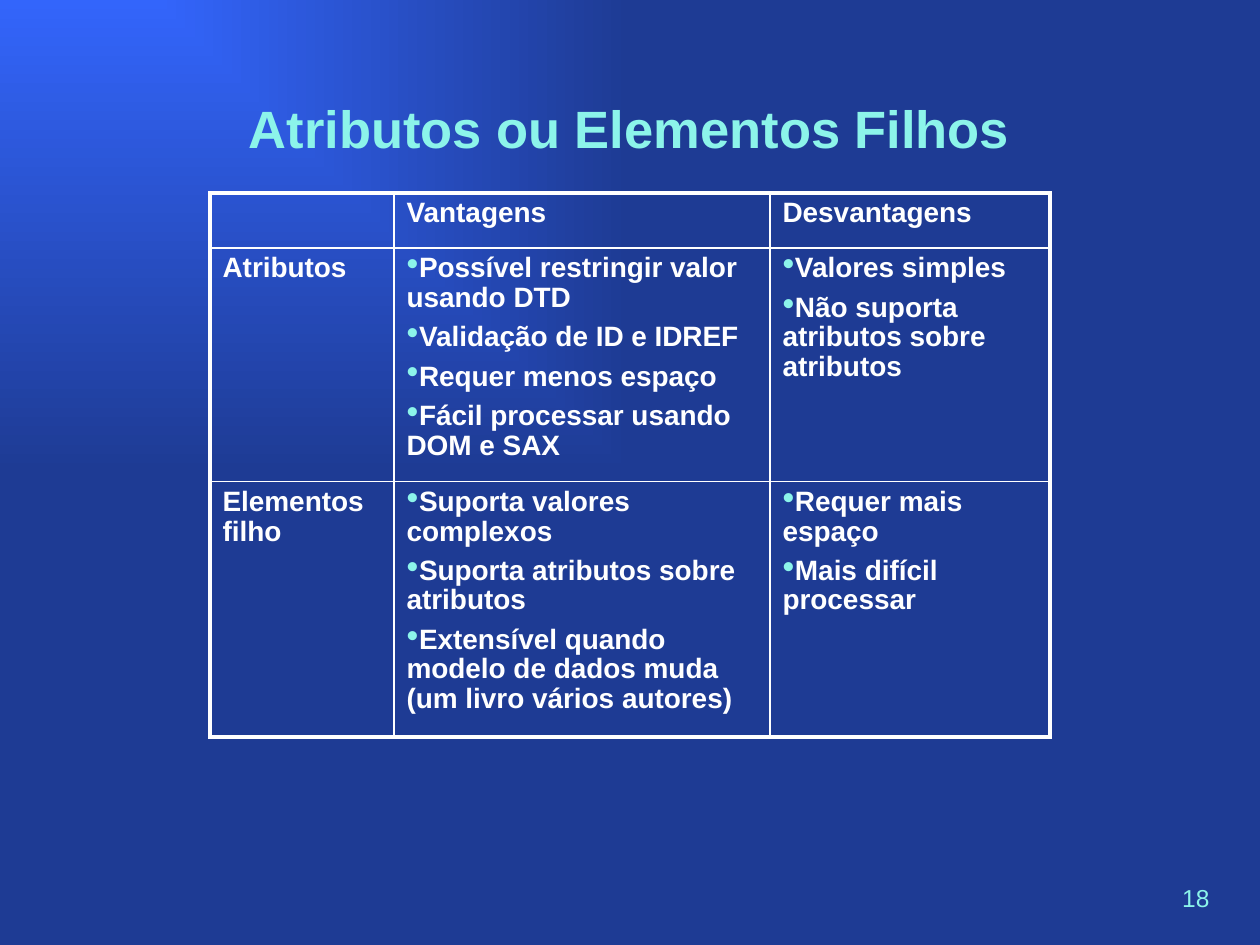
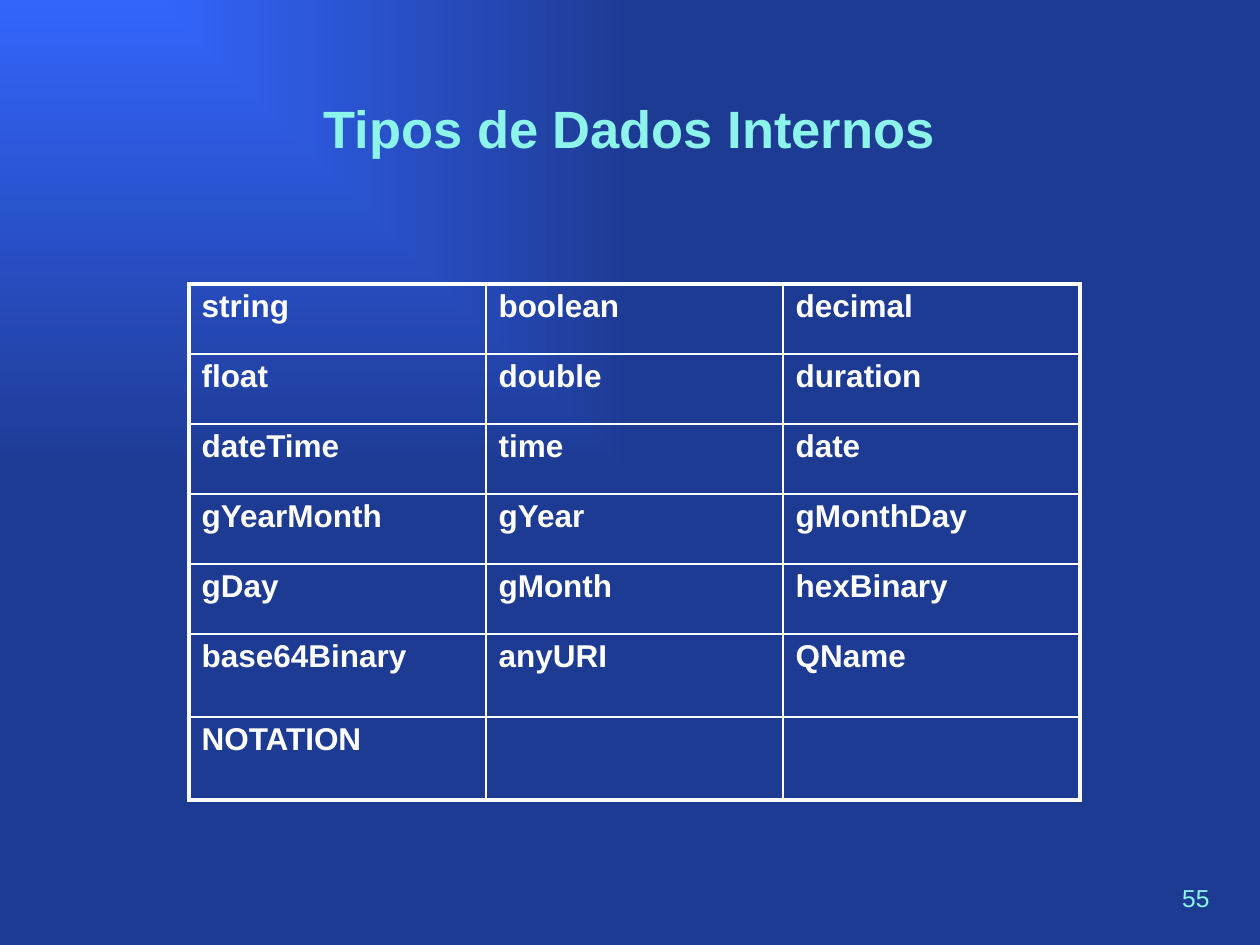
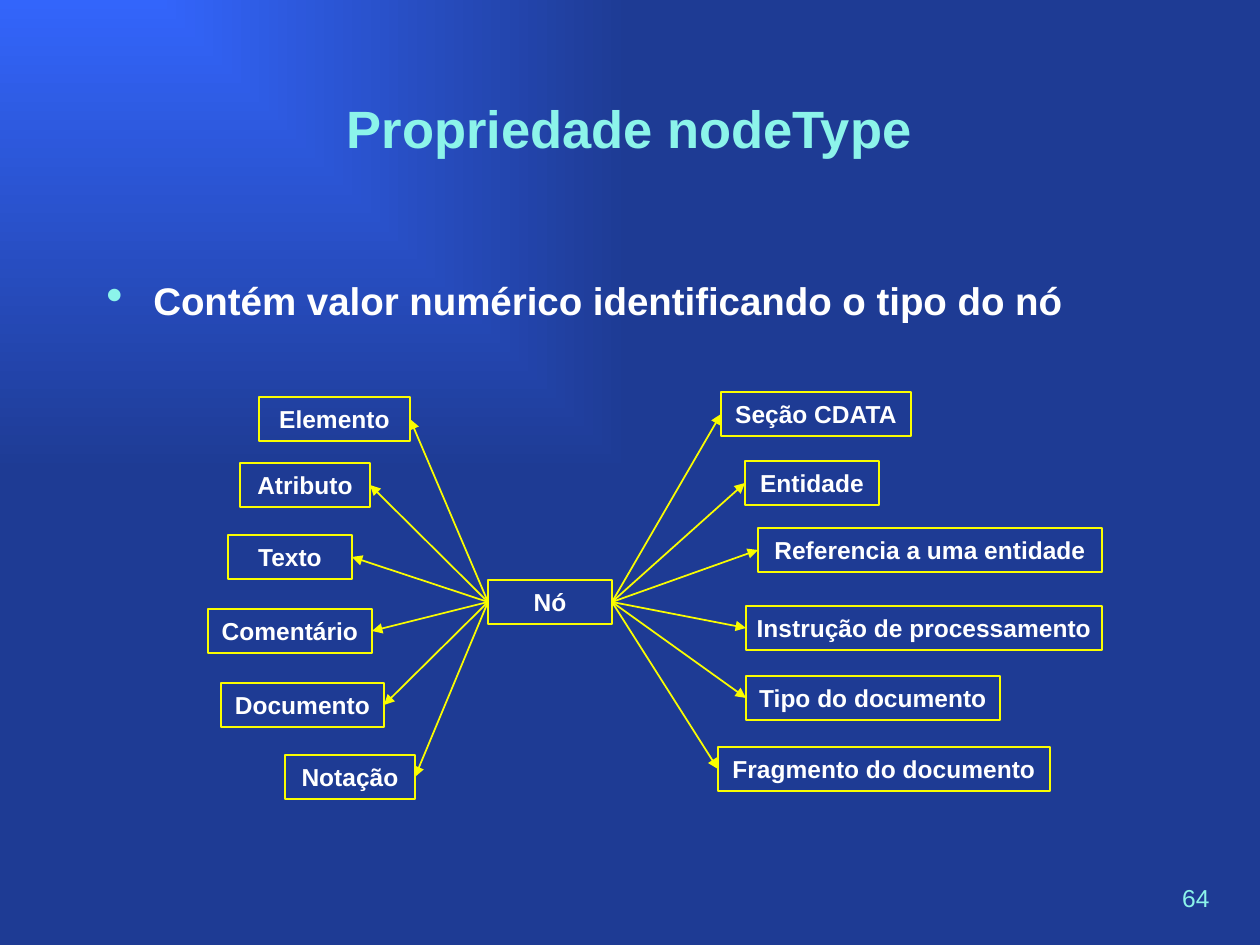
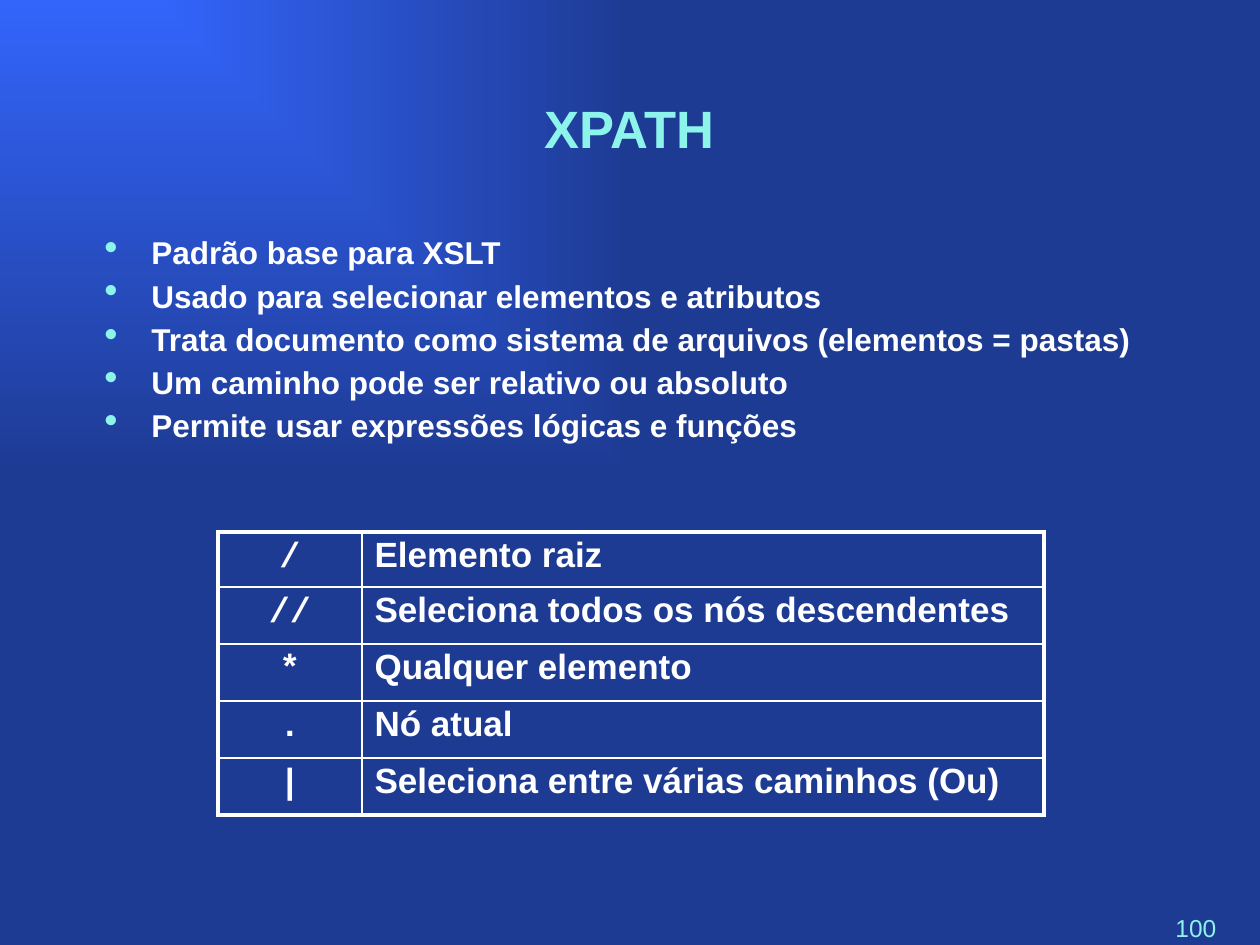
"""Build four slides on XML attributes, data types, node types and XPath."""
from dataclasses import dataclass

from lxml import etree
from pptx import Presentation
from pptx import util as u
from pptx.dml.color import RGBColor
from pptx.enum import shapes, text
from pptx.oxml.ns import qn

EMU_PER_PX = 914400 / 126
BRIGHT_BLUE = RGBColor(0x33, 0x65, 0xFB)
DEEP_BLUE = RGBColor(0x1E, 0x3B, 0x94)
AQUA = RGBColor(0x8C, 0xF4, 0xEA)
WHITE = RGBColor(0xFF, 0xFF, 0xFF)
YELLOW = RGBColor(0xFA, 0xFD, 0x00)
SANS, MONO = "Arial", "Courier New"
THIN, THICK = u.Pt(1), u.Pt(2.25)
NODE_H = 44
LEFT_SIDE, RIGHT_SIDE = 1, 3


@dataclass(frozen=True)
class Style:
    size: int
    color: RGBColor = WHITE
    bold: bool = True
    font: str = SANS


@dataclass(frozen=True)
class Flow:
    spacing: float = 0.95
    bullet: bool = False
    hanging: int = 0
    align: text.PP_ALIGN | None = None


@dataclass(frozen=True)
class Cell:
    lines: tuple[str, ...] = ()
    bullet: bool = False


@dataclass(frozen=True)
class Grid:
    left: int
    top: int
    cols: tuple[int, ...]
    rows: tuple[int, ...]
    size: int
    cells: tuple[tuple[Cell, ...], ...]
    symbol_column: bool = False


@dataclass(frozen=True)
class Node:
    label: str
    left: int
    top: int
    width: int


TITLE = Style(30, AQUA)
NUMBER = Style(14, AQUA, bold=False)
NODE = Style(14)
CENTER = text.PP_ALIGN.CENTER


def one_line(*labels: str) -> tuple[Cell, ...]:
    """Return a row of cells with one plain line each."""
    return tuple(Cell((label,)) if label else Cell() for label in labels)


def bullets(*lines: str) -> Cell:
    """Return a cell holding a bulleted list."""
    return Cell(lines, bullet=True)


ATTRIBUTES = Grid(210, 193, (184, 376, 280), (55, 186, 186), 16, (
    one_line("", "Vantagens", "Desvantagens"),
    (Cell(("Atributos",)),
     bullets("Possível restringir valor usando DTD", "Validação de ID e IDREF",
             "Requer menos espaço", "Fácil processar usando DOM e SAX"),
     bullets("Valores simples", "Não suporta atributos sobre atributos")),
    (Cell(("Elementos filho",)),
     bullets("Suporta valores complexos", "Suporta atributos sobre atributos",
             "Extensível quando modelo de dados muda (um livro vários autores)"),
     bullets("Requer mais espaço", "Mais difícil processar")),
))

DATA_TYPES = Grid(189, 284, (297,) * 3, (70,) * 5 + (83,) * 2, 18, (
    one_line("string", "boolean", "decimal"),
    one_line("float", "double", "duration"),
    one_line("dateTime", "time", "date"),
    one_line("gYearMonth", "gYear", "gMonthDay"),
    one_line("gDay", "gMonth", "hexBinary"),
    one_line("base64Binary", "anyURI", "QName"),
    one_line("NOTATION", "", ""),
))

XPATH_SYMBOLS = Grid(218, 532, (144, 682), (55,) + (57,) * 4, 20, (
    one_line("/", "Elemento raiz"),
    one_line("//", "Seleciona todos os nós descendentes"),
    one_line("*", "Qualquer elemento"),
    one_line(".", "Nó atual"),
    one_line("|", "Seleciona entre várias caminhos (Ou)"),
), symbol_column=True)

HUB = Node("Nó", 488, 580, 124)
LEFT_NODES = (
    Node("Elemento", 259, 397, 151),
    Node("Atributo", 240, 463, 130),
    Node("Texto", 228, 535, 124),
    Node("Comentário", 208, 609, 164),
    Node("Documento", 221, 683, 163),
    Node("Notação", 285, 755, 130),
)
RIGHT_NODES = (
    Node("Seção CDATA", 721, 392, 190),
    Node("Entidade", 745, 461, 134),
    Node("Referencia a uma entidade", 758, 528, 344),
    Node("Instrução de processamento", 746, 606, 356),
    Node("Tipo do documento", 746, 676, 254),
    Node("Fragmento do documento", 718, 747, 332),
)
XPATH_POINTS = (
    "Padrão base para XSLT",
    "Usado para selecionar elementos e atributos",
    "Trata documento como sistema de arquivos (elementos = pastas)",
    "Um caminho pode ser relativo ou absoluto",
    "Permite usar expressões lógicas e funções",
)


def px(n: int) -> u.Emu:
    """Turn px into EMU."""
    return u.Emu(round(n * EMU_PER_PX))


def add(parent, tag: str, **attrs):
    """Append a child element with the given attributes."""
    return etree.SubElement(parent, qn(tag), {k: str(v) for k, v in attrs.items()})


def style_paragraph(p, style: Style) -> None:
    """Format every run of a paragraph."""
    for r in p.runs:
        r.font.name, r.font.size, r.font.bold = style.font, u.Pt(style.size), style.bold
        r.font.color.rgb = style.color


def write_lines(tf, lines: tuple[str, ...], style: Style, flow: Flow) -> None:
    """Fill a text frame with spaced and optionally bulleted paragraphs."""
    for i, line in enumerate(lines):
        p = tf.add_paragraph() if i else tf.paragraphs[0]
        p.text = line
        p.alignment = flow.align
        p.line_spacing = flow.spacing
        ppr = p._p.get_or_add_pPr()
        add(add(ppr, "a:spcBef"), "a:spcPct", val=35000)
        if flow.bullet:
            ppr.set("marL", str(px(flow.hanging)))
            ppr.set("indent", str(-px(flow.hanging)))
            add(add(ppr, "a:buClr"), "a:srgbClr", val=AQUA)
            add(ppr, "a:buSzPct", val=125000)
            add(ppr, "a:buChar", char="•")
        style_paragraph(p, style)


def add_text_box(s, left: int, top: int, width: int, height: int):
    """Add a wrapping text box and return its frame."""
    tf = s.shapes.add_textbox(px(left), px(top), px(width), px(height)).text_frame
    tf.word_wrap = True
    return tf


def paint_background(prs) -> None:
    """Give the master a gradient spreading from the top left corner."""
    fill = prs.slide_master.background.fill
    fill.gradient()
    for stop, color in zip(fill.gradient_stops, (BRIGHT_BLUE, DEEP_BLUE)):
        stop.color.rgb = color
    grad = prs.slide_master.element.find(".//" + qn("a:gradFill"))
    grad.remove(grad.find(qn("a:lin")))
    add(add(grad, "a:path", path="rect"), "a:fillToRect", r=100000, b=100000)


def add_slide(prs, title: str, number: int, title_h: int = 158):
    """Add a blank slide with its page number and title."""
    s = prs.slides.add_slide(prs.slide_layouts[6])
    tf = add_text_box(s, 1163, 877, 70, 41)
    tf.text = f" {number}"
    style_paragraph(tf.paragraphs[0], NUMBER)
    tf = add_text_box(s, 94, 84, 1071, title_h)
    tf.margin_top = px(12)
    tf.text = title
    tf.paragraphs[0].alignment = CENTER
    style_paragraph(tf.paragraphs[0], TITLE)
    return s


def set_borders(cell, row: int, col: int, n_rows: int, n_cols: int) -> None:
    """Draw thick lines on the table's outside and thin ones inside."""
    tcpr = cell._tc.get_or_add_tcPr()
    outer = {"a:lnL": col == 0, "a:lnR": col == n_cols - 1,
             "a:lnT": row == 0, "a:lnB": row == n_rows - 1}
    for tag, is_outer in outer.items():
        ln = add(tcpr, tag, w=THICK if is_outer else THIN)
        add(add(ln, "a:solidFill"), "a:srgbClr", val=WHITE)


def add_grid(s, grid: Grid) -> None:
    """Add a transparent table with white borders."""
    n_rows, n_cols = len(grid.rows), len(grid.cols)
    table = s.shapes.add_table(n_rows, n_cols, px(grid.left), px(grid.top),
                               px(sum(grid.cols)), px(sum(grid.rows))).table
    table.first_row = table.horz_banding = False
    for column, width in zip(table.columns, grid.cols):
        column.width = px(width)
    for row, height in zip(table.rows, grid.rows):
        row.height = px(height)
    for i, row in enumerate(grid.cells):
        for j, content in enumerate(row):
            cell = table.cell(i, j)
            set_borders(cell, i, j, n_rows, n_cols)
            cell.fill.background()
            symbol = grid.symbol_column and j == 0
            write_lines(cell.text_frame, content.lines,
                        Style(grid.size, font=MONO if symbol else SANS),
                        Flow(bullet=content.bullet, align=CENTER if symbol else None))


def add_node(s, node: Node):
    """Add an outlined box with a centred label."""
    sp = s.shapes.add_shape(shapes.MSO_SHAPE.RECTANGLE, px(node.left), px(node.top),
                            px(node.width), px(NODE_H))
    sp.shadow.inherit = False
    sp.fill.background()
    sp.line.color.rgb, sp.line.width = YELLOW, THIN
    tf = sp.text_frame
    tf.word_wrap = False
    tf.vertical_anchor = text.MSO_ANCHOR.MIDDLE
    tf.text = node.label
    tf.paragraphs[0].alignment = CENTER
    style_paragraph(tf.paragraphs[0], NODE)
    return sp


def add_arrow(s, hub, hub_side: int, target, target_side: int) -> None:
    """Join the hub to a target box with an arrow."""
    line = s.shapes.add_connector(shapes.MSO_CONNECTOR.STRAIGHT, 0, 0, 0, 0)
    line.begin_connect(hub, hub_side)
    line.end_connect(target, target_side)
    line.line.color.rgb, line.line.width = YELLOW, THIN
    add(line.line._get_or_add_ln(), "a:tailEnd", type="triangle")
    add(line._element.spPr, "a:effectLst")


def add_node_map(s) -> None:
    """Draw the hub with its node types on both sides."""
    hub = add_node(s, HUB)
    for nodes, hub_side, target_side in ((LEFT_NODES, LEFT_SIDE, RIGHT_SIDE),
                                         (RIGHT_NODES, RIGHT_SIDE, LEFT_SIDE)):
        for node in nodes:
            add_arrow(s, hub, hub_side, add_node(s, node), target_side)


def main() -> None:
    """Build and save the presentation."""
    prs = Presentation()
    prs.slide_width, prs.slide_height = px(1260), px(945)
    paint_background(prs)

    add_grid(add_slide(prs, "Atributos ou Elementos Filhos", 18), ATTRIBUTES)
    add_grid(add_slide(prs, "Tipos de Dados Internos", 55), DATA_TYPES)

    s = add_slide(prs, "Propriedade nodeType", 64)
    write_lines(add_text_box(s, 94, 274, 1071, 59),
                ("Contém valor numérico identificando o tipo do nó",),
                Style(22), Flow(bullet=True, hanging=47))
    add_node_map(s)

    s = add_slide(prs, "XPATH", 100, title_h=111)
    write_lines(add_text_box(s, 92, 233, 1071, 239), XPATH_POINTS,
                Style(18), Flow(spacing=0.85, bullet=True, hanging=47))
    add_grid(s, XPATH_SYMBOLS)

    prs.save("out.pptx")


if __name__ == "__main__":
    main()
